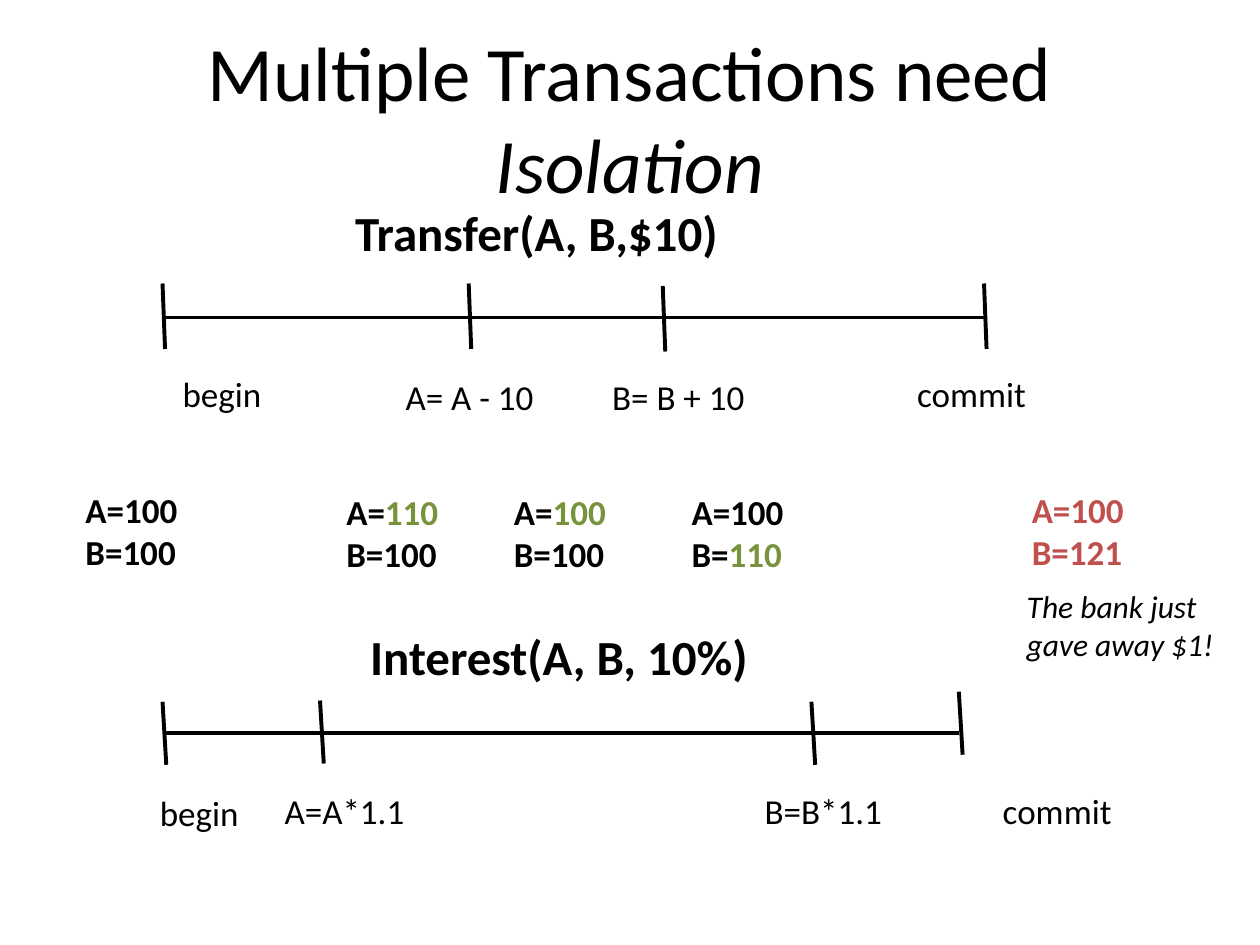
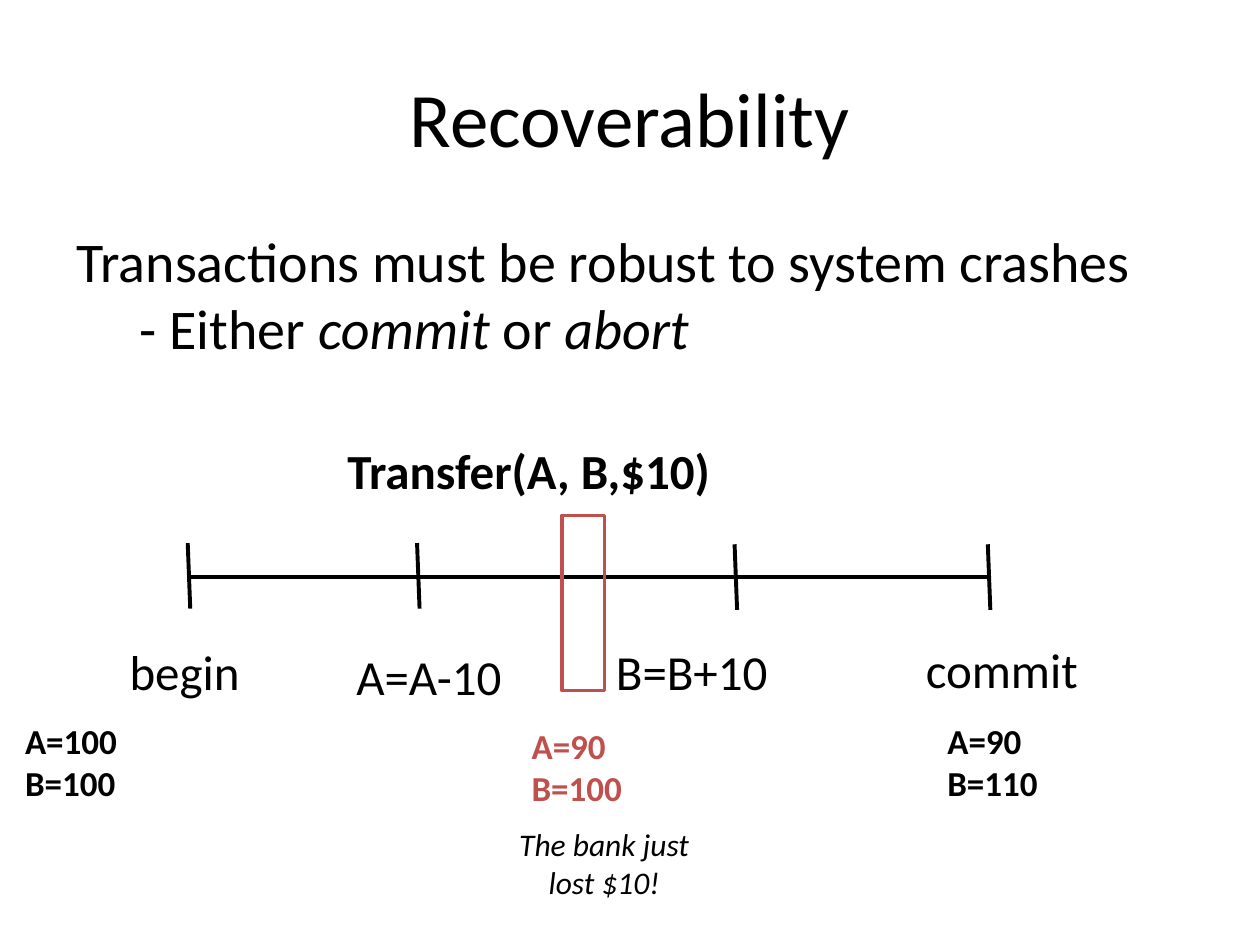
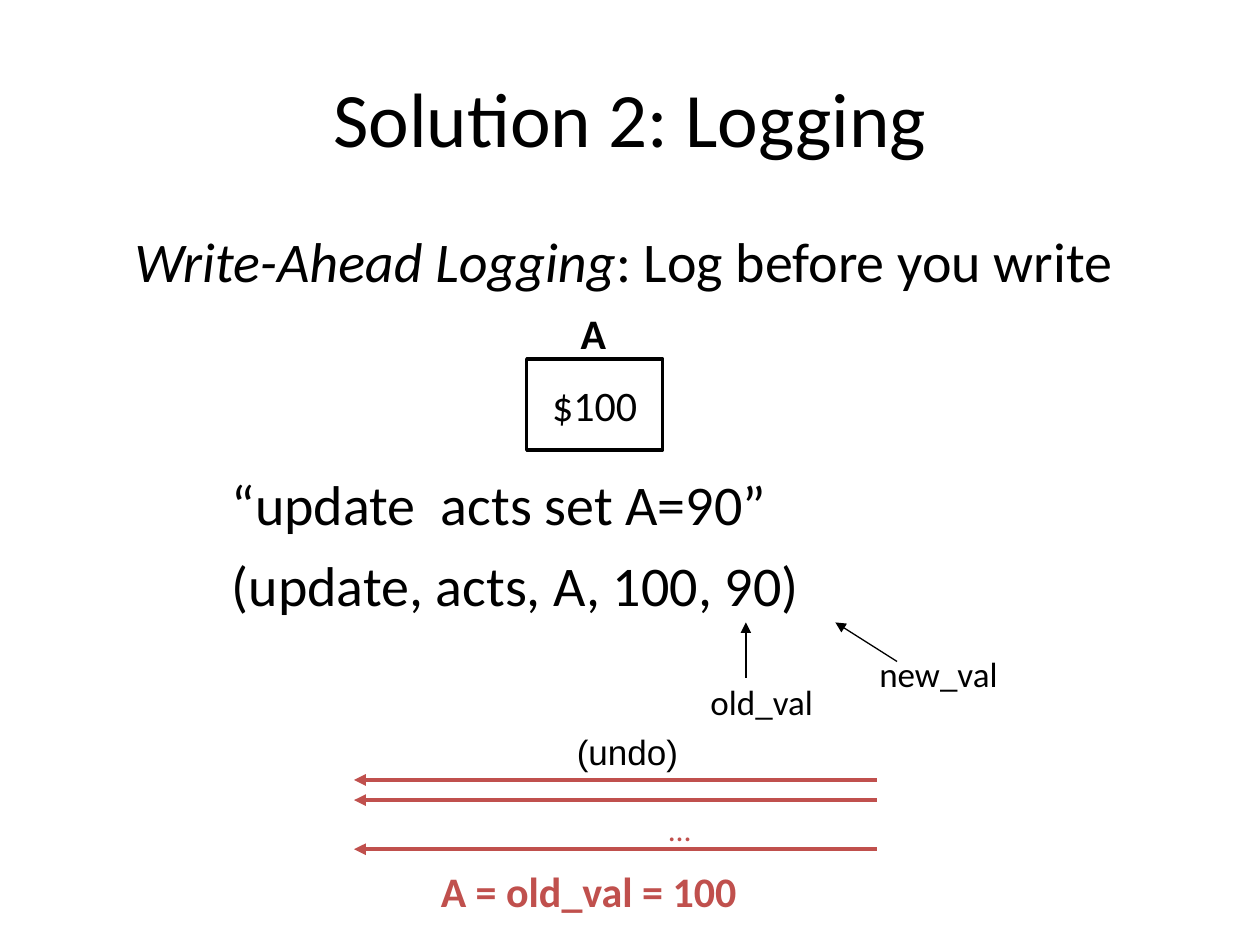
from lxml import etree
from pptx import Presentation
from pptx.dml.color import RGBColor
from pptx.enum.shapes import MSO_CONNECTOR, MSO_SHAPE
from pptx.enum.text import MSO_ANCHOR, MSO_AUTO_SIZE, PP_ALIGN
from pptx.oxml.ns import qn
from pptx.util import Pt

PX = 9144  # 100 px to the inch
STRAIGHT = MSO_CONNECTOR.STRAIGHT
RECT = MSO_SHAPE.RECTANGLE
LEFT, CENTER = PP_ALIGN.LEFT, PP_ALIGN.CENTER
TOP, MIDDLE = MSO_ANCHOR.TOP, MSO_ANCHOR.MIDDLE
FIXED = MSO_AUTO_SIZE.NONE
BLACK, WHITE, RED, GREEN = "000000", "FFFFFF", "C0504D", "77933C"
hue = RGBColor.from_string


def write(page, text, at, size=20, color=BLACK, bold=False, italic=False,
          accent=None, font="Calibri", align=LEFT, anchor=TOP, shape=None):
    """Put text in a shape or a new box; every second piece between bars
    takes the accent colour, or is italic when there is none."""
    at = [n * PX for n in at]
    if shape is None:
        shape = page.shapes.add_textbox(*at)
    shape.left, shape.top, shape.width, shape.height = at
    frame = shape.text_frame
    frame.word_wrap = True
    frame.auto_size = FIXED
    frame.vertical_anchor = anchor
    for row, line in enumerate(text.split("\n")):
        para = frame.add_paragraph() if row else frame.paragraphs[0]
        para.alignment = align
        for i, piece in enumerate(line.split("|")):
            if not piece:
                continue
            run = para.add_run()
            run.text = piece
            marked = i % 2 == 1
            run.font.name = font
            run.font.size = Pt(size)
            run.font.bold = bold
            run.font.italic = italic or (marked and accent is None)
            run.font.color.rgb = hue(accent if marked and accent else color)


def draw(page, x1, y1, x2, y2, color=BLACK, width=2.25, arrow=False):
    """Draw a straight line, with an arrowhead at its start if asked."""
    line = page.shapes.add_connector(STRAIGHT, x1 * PX, y1 * PX, x2 * PX, y2 * PX)
    line.line.color.rgb = hue(color)
    line.line.width = Pt(width)
    props = line._element.spPr
    if arrow:
        etree.SubElement(props.find(qn("a:ln")), qn("a:headEnd"), type="triangle")
    etree.SubElement(props, qn("a:effectLst"))


deck = Presentation()
deck.slide_width, deck.slide_height = 1000 * PX, 750 * PX

pages = []
for title in ("Multiple Transactions need |Isolation", "Recoverability",
              "Solution 2: Logging"):
    page = deck.slides.add_slide(deck.slide_layouts[5])
    write(page, title, (50, 30, 900, 125), size=44, align=CENTER,
          anchor=MIDDLE, shape=page.shapes.title)
    pages.append(page)
multi, crash, log = pages

# Timelines: axis height, tick length and lean, (x, top) of each tick
for page, y, tall, lean, ticks in (
    (multi, 252, 52, 2, ((129, 225), (372, 225), (526, 227), (781, 225))),
    (multi, 582, 50, 3, ((129, 557), (254, 556), (644, 557), (761, 549))),
    (crash, 458, 52, 2, ((149, 431), (331, 431), (583, 432), (784, 432))),
):
    draw(page, ticks[0][0], y, ticks[-1][0], y)
    for x, top in ticks:
        draw(page, x, top, x + lean, top + tall)

# Names of the transactions
for page, text, x, y in (
    (multi, "Transfer(A, B,$10)", 272, 156),
    (multi, "Interest(A, B, 10%)", 284, 492),
    (crash, "Transfer(A, B,$10)", 266, 345),
):
    write(page, text, (x, y, 420, 57), size=28, bold=True)

# Steps below the ticks
for page, size, steps in (
    (multi, 20, (("begin", 135, 291), ("A= A - 10", 312, 293),
                 ("B= B + 10", 476, 293), ("commit", 718, 291),
                 ("begin", 117, 623), ("A=A*1.1", 216, 622),
                 ("B=B*1.1", 597, 622), ("commit", 786, 622))),
    (crash, 28, (("begin", 93, 504), ("A=A-10", 273, 508),
                 ("B=B+10", 479, 504), ("commit", 725, 503))),
):
    for text, x, y in steps:
        write(page, text, (x, y, 132 if size == 20 else 187, 57), size=size)

# Balances of both accounts
for page, text, x, y, color in (
    (multi, "A=100\nB=100", 58, 383, BLACK),
    (multi, "A=|110\nB=100", 265, 384, BLACK),
    (multi, "A=|100\nB=100", 398, 384, BLACK),
    (multi, "A=100\nB=|110", 539, 384, BLACK),
    (multi, "A=100\nB=121", 809, 383, RED),
    (crash, "A=100\nB=100", 10, 566, BLACK),
    (crash, "A=90\nB=100", 412, 570, RED),
    (crash, "A=90\nB=110", 742, 566, BLACK),
):
    write(page, text, (x, y, 122, 77), bold=True, color=color, accent=GREEN)

write(multi, "The bank just gave away $1!", (805, 461, 195, 100), size=18,
      italic=True)

# Recoverability
write(crash, "Transactions must be robust to system crashes\n"
      "\t- Either |commit| or |abort", (51, 175, 900, 495), size=32)
write(crash, "The bank just lost $10!", (382, 650, 195, 70), size=18,
      italic=True, align=CENTER)
gap = crash.shapes.add_shape(RECT, 446 * PX, 409 * PX, 34 * PX, 139 * PX)
gap.fill.background()
gap.line.color.rgb = hue(RED)
gap.line.width = Pt(2)
gap.shadow.inherit = False

# Logging
write(log, "|Write-Ahead Logging|: Log before you write", (97, 175, 817, 495),
      size=32)
cell = log.shapes.add_shape(RECT, 418 * PX, 285 * PX, 108 * PX, 72 * PX)
cell.fill.solid()
cell.fill.fore_color.rgb = hue(WHITE)
cell.line.color.rgb = hue(BLACK)
cell.line.width = Pt(2)
cell.shadow.inherit = False
write(log, "$100", (418, 285, 108, 72), size=24, align=CENTER, anchor=MIDDLE,
      shape=cell)
write(log, "A", (451, 239, 45, 50), size=24, bold=True)
write(log, "“update  acts set A=90”", (174, 368, 564, 63), size=32)
write(log, "(update, acts, A, 100, 90)", (174, 432, 589, 63), size=32)

draw(log, 592, 494, 592, 538, width=0.75, arrow=True)
draw(log, 663, 494, 712, 525, width=0.75, arrow=True)
write(log, "old_val", (554, 535, 117, 43))
write(log, "new_val", (688, 513, 132, 43))

write(log, "(undo)", (448, 575, 110, 43), font="Arial")
for y in (619, 635, 674):
    draw(log, 281, y, 696, y, color=RED, arrow=True)
write(log, "…", (521, 638, 42, 40), size=18, color=RED)
write(log, "A = old_val = 100", (340, 682, 348, 50), size=24, color=RED,
      bold=True)

deck.save("out.pptx")
